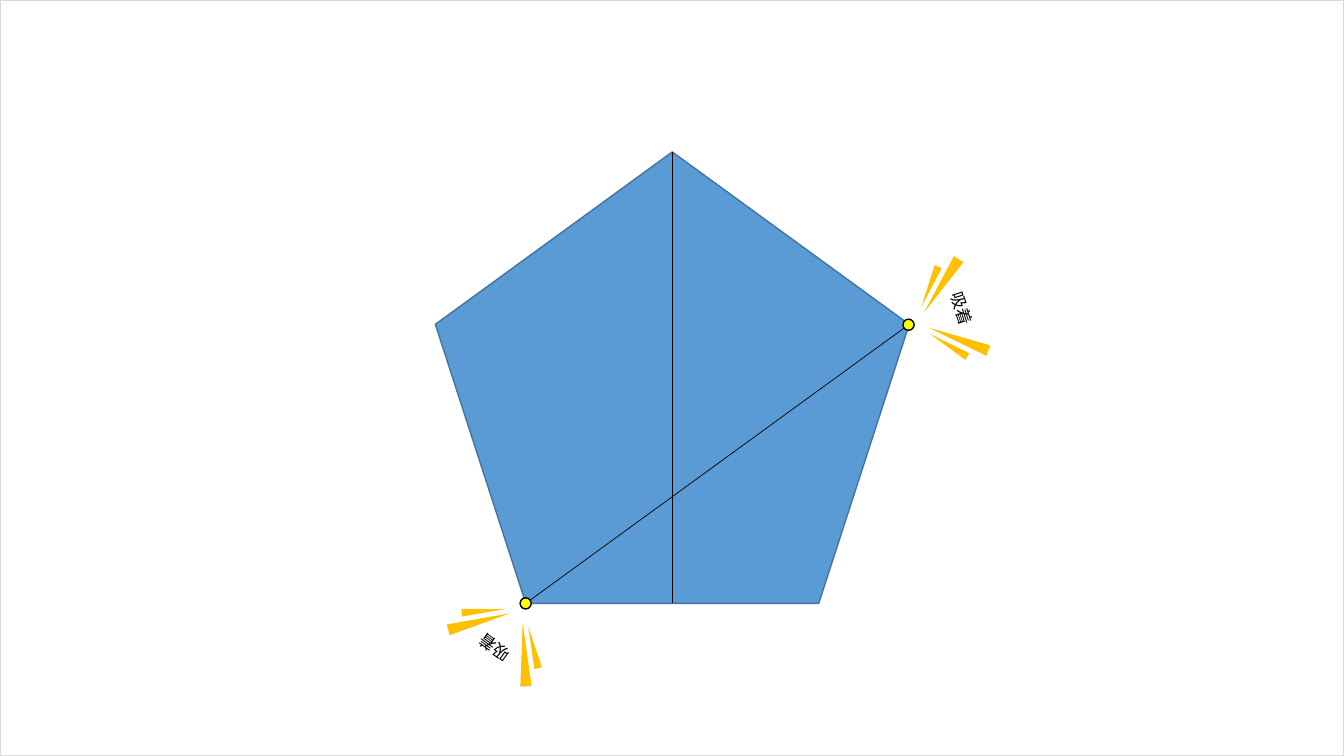
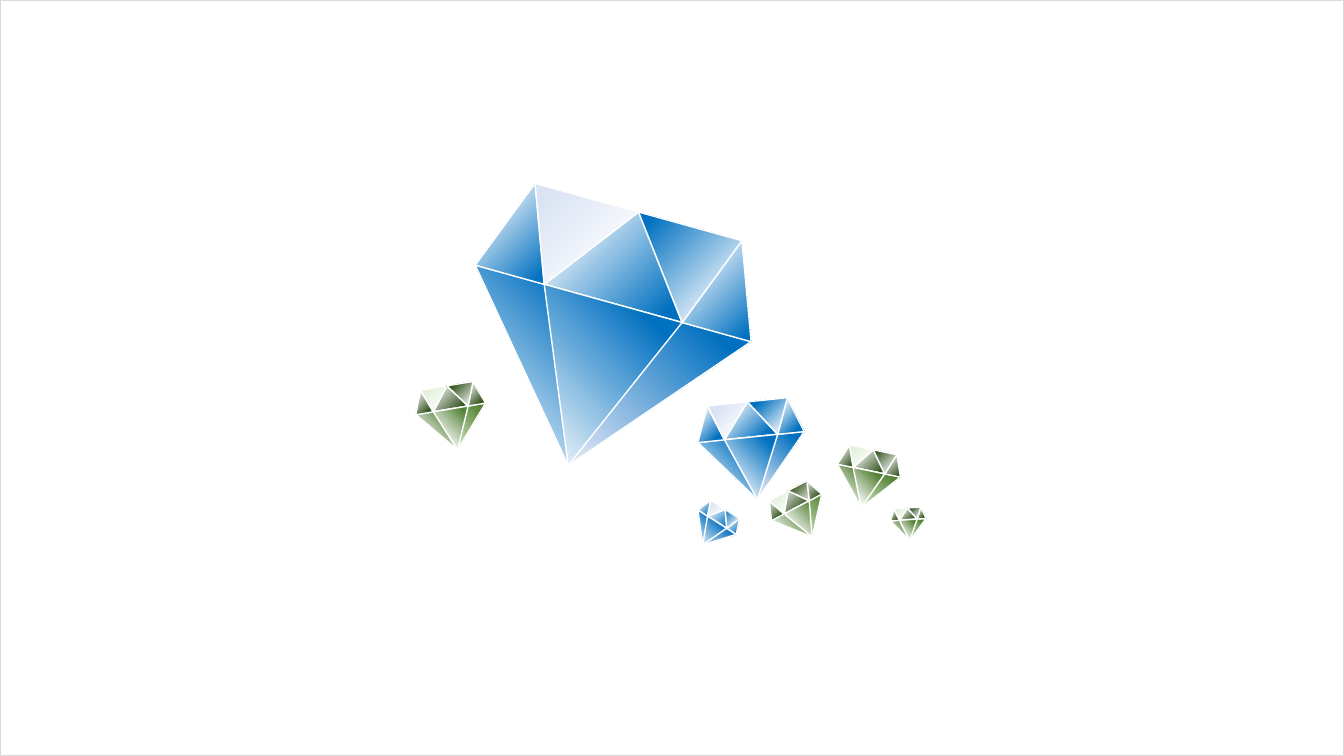
import math

import lxml.etree
import pptx
import pptx.dml.color
import pptx.enum.shapes
import pptx.enum.text
import pptx.oxml.ns
import pptx.util

RGB = pptx.dml.color.RGBColor
SHAPE = pptx.enum.shapes.MSO_SHAPE
qn = pptx.oxml.ns.qn

PX = 6350
WIDTH, HEIGHT = 1920, 1080
FONT = "Noto Sans CJK JP"

WHITE = RGB(0xFF, 0xFF, 0xFF)
BLACK = RGB(0x00, 0x00, 0x00)
FRAME = RGB(0xD9, 0xD9, 0xD9)
PENTAGON = RGB(0x5B, 0x9B, 0xD5)
PENTAGON_EDGE = RGB(0x43, 0x73, 0x9E)
YELLOW = RGB(0xFF, 0xFF, 0x00)
AMBER = RGB(0xFF, 0xC0, 0x00)
ICE = RGB(0xF7, 0xFA, 0xFD)
BLUE = RGB(0x00, 0x70, 0xC0)
PALE_BLUE = RGB(0xDA, 0xE3, 0xF3)
DARK_GREEN = RGB(0x38, 0x57, 0x23)
GREEN = RGB(0x54, 0x82, 0x35)
LIGHT_GREEN = RGB(0xC5, 0xE0, 0xB4)
PALE_GREEN = RGB(0xE2, 0xF0, 0xD9)

BLUE_FACET = [(0, ICE), (15, WHITE), (83, BLUE), (100, BLUE)]
BLUE_GEM = {
    "crown": BLUE_FACET,
    "pavilion": BLUE_FACET,
    "shade": [(0, ICE), (15, PALE_BLUE), (83, BLUE), (100, BLUE)],
    "shine": [(0, PALE_BLUE), (16, WHITE), (83, PALE_BLUE), (100, PALE_BLUE)],
}
GREEN_GEM = {
    "crown": [(0, ICE), (15, WHITE), (83, DARK_GREEN), (100, GREEN)],
    "pavilion": [(0, ICE), (25, WHITE), (83, GREEN), (100, GREEN)],
    "shade": [(0, ICE), (15, LIGHT_GREEN), (83, GREEN), (100, GREEN)],
    "shine": [(0, WHITE), (16, WHITE), (83, PALE_GREEN), (100, LIGHT_GREEN)],
}

# Facets: tone, row, left and width in eighths of the gem, apex, turn
FACETS = [
    ("crown", "top", 2, 4, 0.5, None),
    ("pavilion", "bottom", 0, 4, 1, "flip"),
    ("shade", "bottom", 4, 4, 0, "flip"),
    ("pavilion", "bottom", 2, 4, 0.5, "flip"),
    ("crown", "top", 0, 2, 0.5, None),
    ("crown", "top", 6, 2, 0.5, None),
    ("shine", "top", 1, 3, 2 / 3, "half"),
    ("crown", "top", 4, 3, 1 / 3, "half"),
]
CROWN_HEIGHT, PAVILION_HEIGHT = 2.65, 4.7

GEMS = [
    (862, 484, 409, 15.5, BLUE_GEM),
    (1075, 644, 153, -5.9, BLUE_GEM),
    (1020, 753, 65, 32.5, BLUE_GEM),
    (1143, 734, 81, -27.8, GREEN_GEM),
    (1239, 684, 92, 11.6, GREEN_GEM),
    (1298, 749, 51, -4, GREEN_GEM),
    (646, 597, 101, -9.5, GREEN_GEM),
]

RAYS = [(40, -60, 16, 91, 219), (44, -44, 11, 62, 229.3)]


def emu(*lengths):
    return [round(v * PX) for v in lengths]


def add_shape(shapes, kind, box, fill=None, edge=None, weight=1):
    s = shapes.add_shape(kind, *emu(*box))
    s.shadow.inherit = False
    if fill is None:
        s.fill.background()
    else:
        s.fill.solid()
        s.fill.fore_color.rgb = fill
    if edge is None:
        s.line.fill.background()
    else:
        s.line.color.rgb = edge
        s.line.width = pptx.util.Pt(weight)
    return s


def add_line(shapes, start, end):
    c = shapes.add_connector(
        pptx.enum.shapes.MSO_CONNECTOR.STRAIGHT, *emu(*start, *end))
    c.line.color.rgb = BLACK
    c.line.width = pptx.util.Pt(0.5)
    lxml.etree.SubElement(c.element.spPr, qn("a:effectLst"))


def add_dot(shapes, x, y, size=16):
    box = (x - size / 2, y - size / 2, size, size)
    add_shape(shapes, SHAPE.OVAL, box, YELLOW, BLACK)


def add_label(shapes, box, text):
    s = shapes.add_textbox(*emu(*box))
    tf = s.text_frame
    tf.word_wrap = False
    tf.auto_size = pptx.enum.text.MSO_AUTO_SIZE.SHAPE_TO_FIT_TEXT
    p = tf.paragraphs[0]
    p.alignment = pptx.enum.text.PP_ALIGN.CENTER
    r = p.add_run()
    r.text = text
    r.font.size = pptx.util.Pt(12)
    r.font.color.rgb = BLACK
    r.font.name = FONT
    ea = lxml.etree.SubElement(r.font._element, qn("a:ea"))
    ea.set("typeface", FONT)
    return s


def turned_box(x, y, dx, dy, w, h, angle):
    a = math.radians(angle)
    cx = x + dx * math.cos(a) - dy * math.sin(a)
    cy = y + dx * math.sin(a) + dy * math.cos(a)
    return cx - w / 2, cy - h / 2, w, h


def add_burst(slide, x, y, angle):
    g = slide.shapes.add_group_shape()
    s = add_label(g.shapes, turned_box(x, y, 0, -78, 78, 43, angle), "吸着")
    s.rotation = angle
    for dx, dy, w, h, turn in RAYS:
        for side in (1, -1):
            box = turned_box(x, y, side * dx, dy, w, h, angle)
            s = add_shape(g.shapes, SHAPE.ISOSCELES_TRIANGLE, box, AMBER)
            s.rotation = (angle + side * turn) % 360


def set_gradient(s, stops):
    f = s.fill
    f.gradient()
    f.gradient_angle = 315
    gs_list = s.element.spPr.find(".//" + qn("a:gsLst"))
    for gs in list(gs_list):
        gs_list.remove(gs)
    for position, colour in stops:
        gs = lxml.etree.SubElement(gs_list, qn("a:gs"), pos=str(position * 1000))
        lxml.etree.SubElement(gs, qn("a:srgbClr"), val=str(colour))


def add_gem(slide, cx, cy, width, angle, tones):
    unit = width / 8
    left = cx - width / 2
    top = cy - (CROWN_HEIGHT + PAVILION_HEIGHT) * unit / 2
    rows = {
        "top": (top, CROWN_HEIGHT * unit),
        "bottom": (top + CROWN_HEIGHT * unit, PAVILION_HEIGHT * unit),
    }
    g = slide.shapes.add_group_shape()
    for tone, row, start, span, apex, turn in FACETS:
        y, h = rows[row]
        box = (left + start * unit, y, span * unit, h)
        s = add_shape(g.shapes, SHAPE.ISOSCELES_TRIANGLE, box, edge=WHITE)
        s.adjustments[0] = apex
        set_gradient(s, tones[tone])
        if turn == "flip":
            s.element.spPr.find(qn("a:xfrm")).set("flipV", "1")
        elif turn == "half":
            s.rotation = 180
    g.rotation = angle % 360


def add_master_frame(prs, slide):
    s = add_shape(slide.shapes, SHAPE.RECTANGLE, (0, 0, WIDTH, HEIGHT), edge=FRAME)
    prs.slide_master.element.cSld.spTree.append(s.element)


def build_pentagon(slide):
    top, foot = (960, 217), (960, 862)
    lower_left, right = (751, 862), (1298, 464)
    shapes = slide.shapes
    add_shape(shapes, SHAPE.REGULAR_PENTAGON, (622, 217, 677, 645),
              PENTAGON, PENTAGON_EDGE)
    add_line(shapes, top, foot)
    add_line(shapes, lower_left, right)
    add_dot(shapes, *lower_left)
    add_dot(shapes, *right)
    add_burst(slide, 1300, 465, 72)
    add_burst(slide, 752, 863, 216)


def build_gems(slide):
    for gem in GEMS:
        add_gem(slide, *gem)


def main():
    prs = pptx.Presentation()
    prs.slide_width, prs.slide_height = emu(WIDTH, HEIGHT)
    blank = prs.slide_layouts[6]
    slide = prs.slides.add_slide(blank)
    add_master_frame(prs, slide)
    build_pentagon(slide)
    build_gems(prs.slides.add_slide(blank))
    prs.save("out.pptx")


if __name__ == "__main__":
    main()
